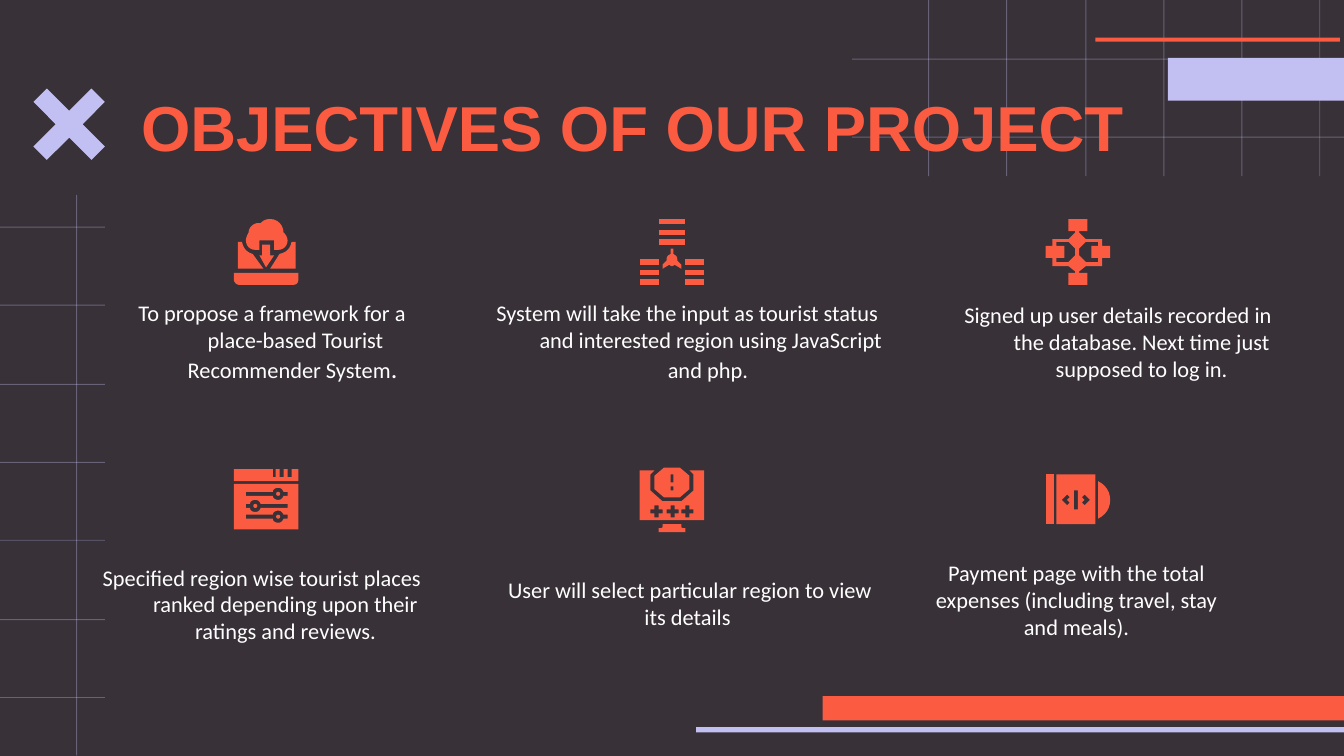
"""Build the project objectives slide: grids, bars, a title and six icon cells."""
import dataclasses

import lxml.etree
import pptx
import pptx.dml.color
import pptx.enum.shapes
import pptx.enum.text
import pptx.oxml.ns
import pptx.util

SCALE = 9144
WIDE = 1000
SHAPE = pptx.enum.shapes.MSO_SHAPE
ALIGN = pptx.enum.text.PP_ALIGN
qn = pptx.oxml.ns.qn


@dataclasses.dataclass(frozen=True)
class Theme:
    """Hold the colours, fonts and type sizes."""
    back: str = "383138"
    main: str = "FA5B41"
    soft: str = "C2C0F2"
    text: str = "FFFFFF"
    head: str = "Arial"
    body: str = "Calibri"
    big: int = 34
    mid: int = 14
    small: int = 12
    hair: float = 0.5
    alpha: int = 35000


THEME = Theme()


def px(*nums):
    """Turn px lengths into EMU."""
    return [pptx.util.Emu(round(n * SCALE)) for n in nums]


def rgb(code):
    """Give the colour for a hex code."""
    return pptx.dml.color.RGBColor.from_string(code)


def apply(item, values):
    """Set each named attribute on an item."""
    for name, value in values.items():
        setattr(item, name, value)


def paint(shape, code):
    """Fill a shape flat, with no line or shadow."""
    shape.shadow.inherit = False
    shape.fill.solid()
    shape.fill.fore_color.rgb = rgb(code)
    shape.line.fill.background()


def box(x, y, w, h):
    """Give the outline of a rectangle."""
    return f"{x},{y} {x + w},{y} {x + w},{y + h} {x},{y + h}"


def plus(x, y):
    """Give the outline of a small plus sign."""
    a, b, c, d, e, f = x + 3, x + 6, x + 9, y + 3, y + 6, y + 9
    return (f"{a},{y} {b},{y} {b},{d} {c},{d} {c},{e} {b},{e} "
            f"{b},{f} {a},{f} {a},{e} {x},{e} {x},{d} {a},{d}")


def slot(x, y):
    """Give the outline of a slider track with a round knob hole."""
    a, b = y + 3, y + 6
    return (f"{x},{y} ~{x + 2},{y} ~{x + 3},{y + 1} ~{x + 4},{a} 40,{a} 40,{b} {x + 4},{b} "
            f"~{x + 3},{y + 8} ~{x + 2},{y + 9} ~{x},{y + 9} ~{x - 2},{y + 9} ~{x - 4},{y + 8} "
            f"~{x - 4},{b} 9,{b} 9,{a} {x - 4},{a} ~{x - 4},{y + 1} ~{x - 2},{y} ~{x},{y}")


def disc(x, y):
    """Give the outline of a knob centre."""
    a, b = y + 3, y + 6
    return f"{x},{a} ~{x - 2},{a} ~{x - 2},{b} ~{x},{b} ~{x + 2},{b} ~{x + 2},{a} ~{x},{a}"


KNOBS = [(33, 15), (16, 24), (33, 32)]
CLOUD = [
    "0,40 0,45 ~0,47 ~2,49 ~4,49 44,49 ~47,49 ~48,47 ~48,45 48,40",
    "21,19 21,27 19,27 24,36 30,27 27,27 27,19",
    "27,0 ~24,0 ~22,1 ~20,3 ~20,3 ~19,3 ~18,3 ~15,3 ~11,6 ~11,10 ~10,12 ~9,14 ~9,16 "
    "~9,20 ~12,23 ~16,23 19,23 19,16 30,16 30,23 33,23 ~37,23 ~40,20 ~40,16 "
    "~40,14 ~39,12 ~37,10 ~37,5 ~33,0 ~27,0",
    "43,17 ~42,22 ~39,25 ~34,26 27,37 46,37 46,17",
    "3,17 3,37 22,37 14,26 ~10,25 ~7,22 ~6,17",
]
NET = [box(x, y + step, w, 4) for x, y, w in [(14, 0, 20), (0, 30, 14), (34, 30, 14)]
       for step in (0, 8, 15)] + [
    "23,22 23,26 ~21,27 ~20,28 ~20,30 ~20,31 ~20,31 ~20,31 17,34 17,37 22,34 "
    "~22,34 ~23,35 ~24,35 ~25,35 ~26,34 ~26,34 31,37 31,34 28,31 "
    "~28,31 ~28,31 ~28,30 ~28,28 ~27,27 ~25,26 25,22"]
FLOW = [
    "17,17 22,22 22,27 17,32 8,32 8,29 14,29 14,20 8,20 8,17 / "
    "39,17 39,20 34,20 34,29 39,29 39,32 30,32 25,27 25,22 30,17 / "
    "17,0 17,9 22,9 22,10 17,15 5,15 5,20 0,20 0,29 5,29 5,35 17,35 22,39 22,40 17,40 17,49 "
    "31,49 31,40 25,40 25,39 30,35 42,35 42,29 48,29 48,20 42,20 42,15 30,15 25,10 25,9 31,9 31,0"]
PANEL = [
    "0,1 0,10 48,10 48,1 43,1 43,7 40,7 40,1 37,1 37,7 34,7 34,1 31,1 31,7 29,7 29,1",
    " / ".join([slot(*k) for k in KNOBS] + [box(0, 12, 48, 34)]),
] + [disc(*k) for k in KNOBS]
SCREEN = [
    " / ".join([plus(x, 28) for x in (8, 20, 31)] + [
        "0,2 0,39 48,39 48,2 37,2 40,5 40,17 31,25 17,25 8,17 8,5 11,2"]),
    " / ".join([box(23, 5, 2, 6), box(23, 14, 2, 3),
                "18,0 11,6 11,16 18,22 30,22 37,16 37,6 30,0"]),
    "17,42 17,44 ~17,45 ~16,45 ~15,45 14,45 14,48 34,48 34,45 33,45 ~32,45 ~31,45 ~31,44 31,42",
]
CARD = [
    box(0, 5, 6, 37),
    " / ".join(["16,20 18,22 16,24 18,26 16,28 12,24", "29,20 33,24 29,28 27,26 29,24 27,22",
                box(21, 17, 3, 14), box(8, 5, 29, 37)]),
    "39,10 39,38 ~45,35 ~48,30 ~48,24 ~48,18 ~45,13 ~39,10",
]
CELLS = [
    (CLOUD, (-112, 56, 266, 70), True,
     "To propose a framework for a place-based Tourist Recommender System", ". "),
    (NET, (-140, 48, 336, 86), True, "System will take the input as tourist status "
     "and interested region using JavaScript and php.", " "),
    (FLOW, (-90, 48, 273, 86), True, "Signed up user details recorded in the database. "
     "Next time just supposed to log in.", ""),
    (PANEL, (-143, 58, 313, 87), True, "Specified region wise tourist places ranked "
     "depending upon their ratings and reviews.", ""),
    (SCREEN, (-109, 74, 293, 53), False,
     "User will select particular region to view its details ", ""),
    (CARD, (-106, 58, 258, 80), False, "Payment page with the total expenses "
     "(including travel, stay and meals).", ""),
]


def trace(text):
    """Turn an outline into EMU points, sampling its curves."""
    points, bend = [], []
    for word in text.split():
        spot = tuple(int(n) for n in word.strip("~").split(","))
        if word[0] != "~":
            points.append(spot)
            continue
        bend.append(spot)
        if len(bend) == 3:
            ends = [points[-1], *bend]
            for t in (k / 6 for k in range(1, 7)):
                mix = ((1 - t) ** 3, 3 * t * (1 - t) ** 2, 3 * t * t * (1 - t), t ** 3)
                points.append(tuple(sum(m * p[i] for m, p in zip(mix, ends)) for i in (0, 1)))
            bend = []
    return [px(*p) for p in points]


def icon(slide, parts, x, y):
    """Draw an icon as one group of outlines."""
    group = slide.shapes.add_group_shape()
    for part in parts:
        loops = [trace(loop) for loop in part.split("/")]
        pen = group.shapes.build_freeform(*loops[0][0], scale=1.0)
        for i, loop in enumerate(loops):
            if i:
                pen.move_to(*loop[0])
            pen.add_line_segments(loop[1:], close=True)
        paint(pen.convert_to_shape(*px(x, y)), THEME.main)


def frame(shape):
    """Set insets, wrap and anchor of a text frame."""
    inset = px(10)[0]
    apply(shape.text_frame, {
        "word_wrap": True, "auto_size": pptx.enum.text.MSO_AUTO_SIZE.NONE,
        "vertical_anchor": pptx.enum.text.MSO_ANCHOR.MIDDLE, "margin_left": inset,
        "margin_right": inset, "margin_top": inset, "margin_bottom": inset})
    return shape.text_frame.paragraphs[0]


def write(para, text, face, size, code, bold=False):
    """Add one formatted run."""
    run = para.add_run()
    run.text = text
    apply(run.font, {"name": face, "size": pptx.util.Pt(size), "bold": bold})
    run.font.color.rgb = rgb(code)


def cell(slide, x, y, parts, area, hang, text, tail):
    """Place an icon and its caption from the icon's corner."""
    icon(slide, parts, x, y)
    dx, dy, w, h = area
    para = frame(slide.shapes.add_textbox(*px(x + dx, y + dy, w, h)))
    para.alignment = ALIGN.CENTER
    if hang:
        props = para._p.get_or_add_pPr()
        for name, value in {"marL": 50, "indent": -35}.items():
            props.set(name, str(px(value)[0]))
    write(para, text, THEME.body, THEME.small, THEME.text)
    if tail:
        write(para, tail, THEME.body, THEME.mid, THEME.text)


def grid(slide, area, cols, rows):
    """Rule thin lines across a box at the given offsets."""
    x, y, w, h = area
    ends = [(x + c, y, x + c, y + h) for c in cols] + [(x, y + r, x + w, y + r) for r in rows]
    for end in ends:
        rule = slide.shapes.add_connector(pptx.enum.shapes.MSO_CONNECTOR.STRAIGHT, *px(*end))
        rule.line.width = pptx.util.Pt(THEME.hair)
        rule.line.color.rgb = rgb(THEME.soft)
        tint = next(rule.element.iter(qn("a:srgbClr")))
        lxml.etree.SubElement(tint, qn("a:alpha")).set("val", str(THEME.alpha))
        lxml.etree.SubElement(rule.element.spPr, qn("a:effectLst"))


def bars(slide, area, items):
    """Place flat bars inside a box."""
    x, y = area[:2]
    for dx, dy, w, h, code in items:
        paint(slide.shapes.add_shape(SHAPE.RECTANGLE, *px(x + dx, y + dy, w, h)), code)


def head(slide, area):
    """Place the cross and the title in a box."""
    x, y, w, h = area
    cross = slide.shapes.add_shape(SHAPE.MATH_MULTIPLY, *px(x, y, h, h))
    cross.adjustments[0] = 0.17
    paint(cross, THEME.soft)
    title = slide.shapes.title
    title.element.getparent().append(title.element)
    apply(title, dict(zip(("left", "top", "width", "height"), px(x + 85, y + 8, w - 85, 69))))
    para = frame(title)
    para.alignment = ALIGN.LEFT
    write(para, "OBJECTIVES OF OUR PROJECT", THEME.head, THEME.big, THEME.main, True)


def main():
    """Build and save the slide."""
    deck = pptx.Presentation()
    deck.slide_width = px(WIDE)[0]
    deck.slide_height = deck.slide_width * 9 // 16
    slide = deck.slides.add_slide(deck.slide_layouts[5])
    slide.background.fill.solid()
    slide.background.fill.fore_color.rgb = rgb(THEME.back)
    grid(slide, (634, 0, 366, 131), [round(57 + 58.3 * i) for i in range(6)], (44, 102))
    grid(slide, (0, 145, 78, 417), (57,), [round(24 + 58.3 * i) for i in range(7)])
    bars(slide, (518, 518, 482, 27), [(94, 0, 388, 18, THEME.main), (0, 23, 482, 4, THEME.soft)])
    bars(slide, (815, 28, 185, 47), [(54, 15, 131, 32, THEME.soft), (0, 0, 182, 3, THEME.main)])
    head(slide, (10, 51, 893, 83))
    for i, item in enumerate(CELLS):
        row, col = divmod(i, 3)
        cell(slide, 174 + 302 * col, 163 + 185 * row, *item)
    deck.save("out.pptx")


if __name__ == "__main__":
    main()
